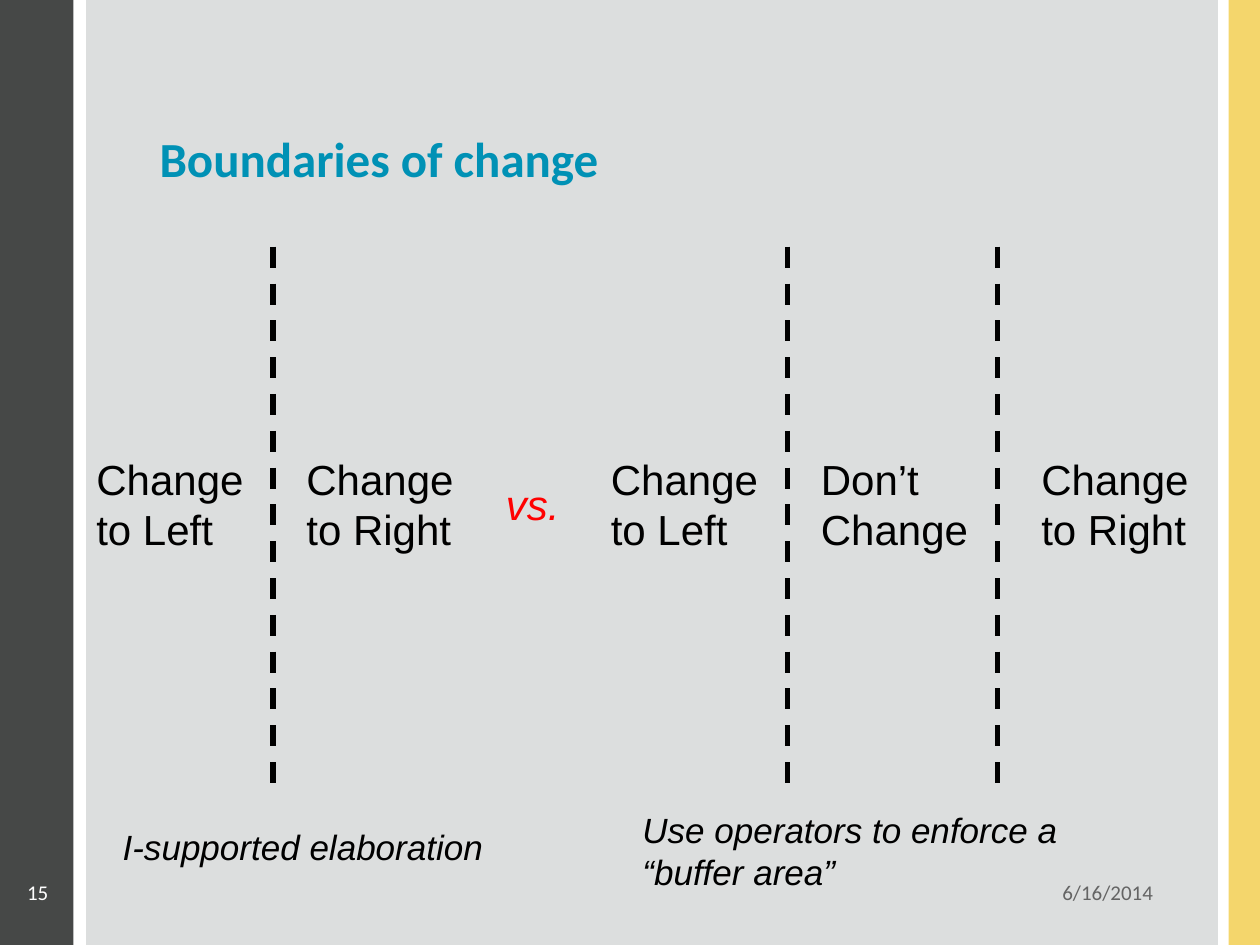
from lxml import etree
from pptx import Presentation, util as u
from pptx.dml.color import RGBColor
from pptx.enum import dml, shapes, text
from pptx.oxml.ns import qn

COLUMNS, ROWS = 120, 90  # grid of twelfths of an inch
CELL = u.Inches(1) / 12
COLORS = {"side": "464847", "accent": "F4D66C", "panel": "DCDEDE", "title": "0091B5",
          "date": "646464", "number": "FFFFFF", "ink": "000000", "versus": "FF0000"}


def color(name):
    return RGBColor.from_string(COLORS[name])


def grid(*cells):
    return [u.Emu(round(cell * CELL)) for cell in cells]


def add_panel(slide, column, width, fill):
    shape = slide.shapes.add_shape(shapes.MSO_SHAPE.RECTANGLE, *grid(column, 0, width, ROWS))
    shape.shadow.inherit = False
    shape.fill.solid()
    shape.fill.fore_color.rgb = color(fill)
    shape.line.fill.background()


def write(shape, words, size, ink, font="Arial", bold=False, italic=False,
          align=text.PP_ALIGN.LEFT, anchor=text.MSO_ANCHOR.TOP):
    frame = shape.text_frame
    frame.text = words
    frame.vertical_anchor = anchor
    paragraph = frame.paragraphs[0]
    paragraph.alignment = align
    style = paragraph.runs[0].font
    style.name, style.size = font, u.Pt(size)
    style.bold, style.italic = bold, italic
    style.color.rgb = color(ink)


def add_text(slide, cells, words, size, ink="ink", wrap=True, **style):
    box = slide.shapes.add_textbox(*grid(*cells))
    box.text_frame.word_wrap = wrap
    write(box, words, size, ink, **style)
    return box


def add_title(slide, words):
    title = slide.shapes.title
    title.left, title.top, title.width, title.height = grid(14, 11, 97, 8)
    write(title, words, 28, "title", font="Calibri", bold=True,
          anchor=text.MSO_ANCHOR.MIDDLE)
    # Bring the title in front of the panels
    slide.shapes.element.append(title.element)


def add_footer(slide, cells, words, ink):
    return add_text(slide, cells, words, 12, ink, font="Calibri",
                    align=text.PP_ALIGN.RIGHT, anchor=text.MSO_ANCHOR.MIDDLE)


def add_boundary(slide, column):
    line = slide.shapes.add_connector(shapes.MSO_CONNECTOR.STRAIGHT,
                                      *grid(column, 23.5, column, 75.6))
    line.line.color.rgb = color("ink")
    line.line.width = u.Pt(3)
    line.line.dash_style = dml.MSO_LINE.DASH
    etree.SubElement(line.element.spPr, qn("a:effectLst"))


def main():
    presentation = Presentation()
    presentation.slide_width, presentation.slide_height = grid(COLUMNS, ROWS)
    slide = presentation.slides.add_slide(presentation.slide_layouts[5])

    for column, width, fill in ((0, 7, "side"), (117, 3, "accent"), (8.2, 107.8, "panel")):
        add_panel(slide, column, width, fill)
    add_title(slide, "Boundaries of change")
    add_footer(slide, (94, 83, 17, 4), "6/16/2014", "date")
    number = add_footer(slide, (0, 83, 7, 4), "15", "number")
    number.text_frame.margin_right = u.Inches(0.2)

    for column in (26, 75, 95):
        add_boundary(slide, column)
    for column, words in ((8, "Change to Left"), (28, "Change to Right"),
                          (57, "Change to Left"), (77, "Don’t Change"),
                          (98, "Change to Right")):
        add_text(slide, (column, 42.6, 18, 10.9), words, 24)

    add_text(slide, (47, 45, 7.5, 6), "vs.", 24, "versus", wrap=False, italic=True)
    add_text(slide, (10.5, 78, 37, 5.25), "I-supported elaboration", 20,
             wrap=False, italic=True)
    add_text(slide, (60, 76.4, 46, 9.3), "Use operators to enforce a “buffer area”", 20,
             italic=True)
    presentation.save("out.pptx")


if __name__ == "__main__":
    main()
